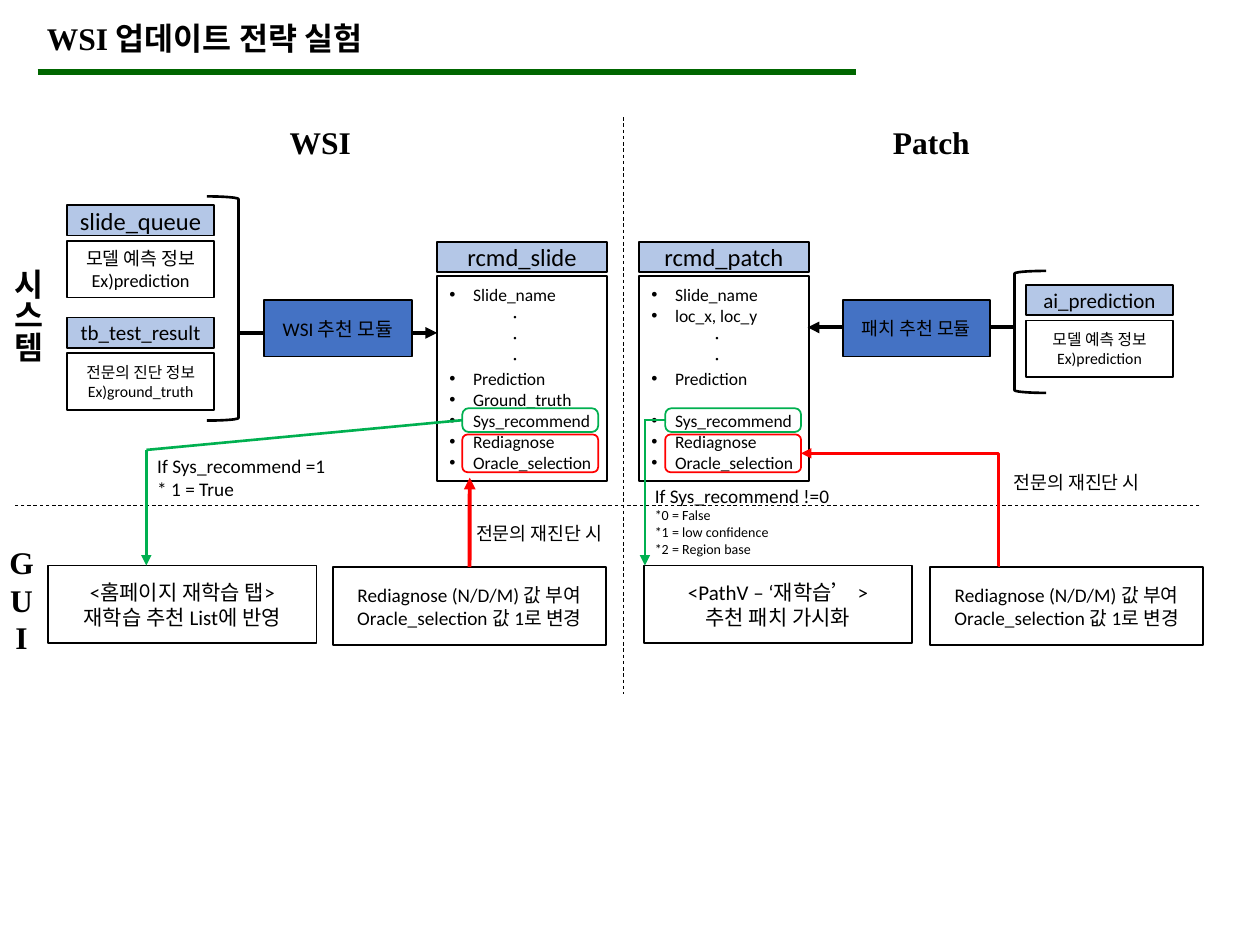
from lxml import etree
from pptx import Presentation
from pptx.dml.color import RGBColor
from pptx.enum.dml import MSO_LINE
from pptx.enum.shapes import MSO_CONNECTOR, MSO_SHAPE
from pptx.enum.text import MSO_ANCHOR, MSO_AUTO_SIZE, PP_ALIGN
from pptx.oxml.ns import qn
from pptx.util import Cm, Pt

RECT, ROUND, BRACKET = MSO_SHAPE.RECTANGLE, MSO_SHAPE.ROUNDED_RECTANGLE, MSO_SHAPE.RIGHT_BRACKET
STRAIGHT, ELBOW = MSO_CONNECTOR.STRAIGHT, MSO_CONNECTOR.ELBOW
LEFT, CENTER, JUSTIFY = PP_ALIGN.LEFT, PP_ALIGN.CENTER, PP_ALIGN.JUSTIFY
TOP, MIDDLE = MSO_ANCHOR.TOP, MSO_ANCHOR.MIDDLE
DASH = MSO_LINE.DASH
NO_FIT = MSO_AUTO_SIZE.NONE

BLACK, GREEN, RED = "000000", "00B050", "FF0000"
HEADER_BLUE, MODULE_BLUE, TITLE_GREEN = "B4C7E7", "4472C4", "006600"
SANS, SERIF = "Calibri", "Times New Roman"
DOT = "·"
TABLE_W, NODE_W, HEADER_H, NODE_H = 3.43, 2.97, 0.61, 1.14
TOP_SIDE, LEFT_SIDE, RIGHT_SIDE = 0, 1, 3


def rgb(color):
    return RGBColor.from_string(color)


def add_run(p, text, size, font=SANS, bold=False):
    r = p.add_run()
    r.text = text
    r.font.name, r.font.size, r.font.bold = font, Pt(size), bold
    r.font.color.rgb = rgb(BLACK)


def write(tf, lines, size, align=CENTER, anchor=MIDDLE, **style):
    """Fill a text frame; a line is a string or a (string, size) pair."""
    tf.vertical_anchor = anchor
    for i, line in enumerate(lines):
        text, line_size = (line, size) if isinstance(line, str) else line
        p = tf.paragraphs[0] if i == 0 else tf.add_paragraph()
        p.alignment = align
        add_run(p, text, line_size, **style)


def set_indent(p, margin, bullet=False):
    pPr = p._p.get_or_add_pPr()
    pPr.set("marL", str(Cm(margin)))
    pPr.set("indent", str(Cm(-margin if bullet else 0)))
    if bullet:
        etree.SubElement(pPr, qn("a:buFont")).set("typeface", "Arial")
        etree.SubElement(pPr, qn("a:buChar")).set("char", "•")


def add_shape(s, kind, x, y, w, h, fill=None, line=BLACK, width=1):
    sp = s.shapes.add_shape(kind, Cm(x), Cm(y), Cm(w), Cm(h))
    sp.shadow.inherit = False
    if fill:
        sp.fill.solid()
        sp.fill.fore_color.rgb = rgb(fill)
    else:
        sp.fill.background()
    sp.line.color.rgb = rgb(line)
    sp.line.width = Pt(width)
    return sp


def add_box(s, x, y, w, h, lines, size, fill=None):
    sp = add_shape(s, RECT, x, y, w, h, fill)
    write(sp.text_frame, lines, size)
    return sp


def add_node(s, x, y, name, name_size, lines, size):
    """Blue name bar with a description box below it."""
    add_box(s, x, y, NODE_W, HEADER_H, [name], name_size, HEADER_BLUE)
    add_box(s, x, y + 0.72, NODE_W, NODE_H, lines, size)


def add_field_table(s, x, name, fields, gap_before=None):
    add_box(s, x, 4.88, TABLE_W, HEADER_H, [name], 14, HEADER_BLUE)
    tf = add_shape(s, RECT, x, 5.56, TABLE_W, 4.14).text_frame
    write(tf, fields, 10, JUSTIFY)
    for p, field in zip(tf.paragraphs, fields):
        if field == DOT:
            set_indent(p, 1.28)
        else:
            set_indent(p, 0.48, bullet=True)
        if field == gap_before:
            p.space_before = Pt(12)


def add_frame(s, x, y, h, color, corner):
    """Rounded outline around some fields of a table."""
    sp = add_shape(s, ROUND, x, y, 2.74, h, line=color)
    sp.adjustments[0] = corner
    return sp


def add_text(s, x, y, w, h, lines, size, wrap=True, align=LEFT, **style):
    tf = s.shapes.add_textbox(Cm(x), Cm(y), Cm(w), Cm(h)).text_frame
    tf.word_wrap = wrap
    write(tf, lines, size, align, TOP, **style)
    return tf


def add_line(s, start, end, color=BLACK, width=1.5, arrow=False, dash=None, kind=STRAIGHT):
    c = s.shapes.add_connector(kind, *(Cm(v) for v in start + end))
    c.line.color.rgb = rgb(color)
    c.line.width = Pt(width)
    if dash:
        c.line.dash_style = dash
    if arrow:
        etree.SubElement(c.line._get_or_add_ln(), qn("a:tailEnd")).set("type", "triangle")
    etree.SubElement(c._element.spPr, qn("a:effectLst"))
    return c


def set_bend(connector, share):
    guides = connector._element.spPr.find(qn("a:prstGeom")).get_or_add_avLst()
    gd = etree.SubElement(guides, qn("a:gd"))
    gd.set("name", "adj1")
    gd.set("fmla", f"val {round(share * 100000)}")


def add_headings(s):
    add_line(s, (0.76, 1.45), (17.25, 1.45), TITLE_GREEN, 3)
    title = s.shapes.title
    title.left, title.top, title.width, title.height = Cm(0.69), Cm(0.25), Cm(13.16), Cm(1.02)
    title.text_frame.auto_size = NO_FIT
    heading = {"font": SERIF, "bold": True}
    write(title.text_frame, ["WSI 업데이트 전략 실험"], 18, LEFT, TOP, **heading)
    add_line(s, (12.57, 2.36), (12.57, 14), width=0.5, dash=DASH)
    add_line(s, (24.18, 10.19), (0.25, 10.19), width=0.5, dash=DASH)
    for x, name in ((5.59, "WSI"), (17.75, "Patch")):
        add_text(s, x, 2.36, 4.85, 1.02, [name], 18, **heading)
    tf = add_text(s, -0.2, 5.16, 1.27, 3.86, ["시스템"], 18, **heading)
    tf._txBody.bodyPr.set("vert", "eaVert")
    add_text(s, -0.2, 10.82, 1.27, 3.33, "GUI", 18, align=CENTER, **heading)


def add_system_row(s):
    marked = ["Sys_recommend", "Rediagnose", "Oracle_selection"]
    add_field_table(s, 8.81, "rcmd_slide",
                    ["Slide_name", DOT, DOT, DOT, "Prediction", "Ground_truth"] + marked)
    add_field_table(s, 12.88, "rcmd_patch",
                    ["Slide_name", "loc_x, loc_y", DOT, DOT, "Prediction"] + marked, marked[0])
    prediction = ["모델 예측 정보", "Ex)prediction"]
    add_node(s, 1.35, 4.14, "slide_queue", 14, prediction, 10.5)
    add_node(s, 1.35, 6.4, "tb_test_result", 12, ["전문의 진단 정보", "Ex)ground_truth"], 9)
    add_node(s, 20.68, 5.74, "ai_prediction", 12, prediction, 9)

    add_shape(s, BRACKET, 4.17, 3.96, 0.64, 4.52, width=1.5)
    add_shape(s, BRACKET, 20.45, 5.46, 0.64, 2.46, width=1.5).rotation = 180
    add_line(s, (4.8, 6.71), (8.81, 6.71), width=2.25, arrow=True)
    add_line(s, (20.45, 6.6), (16.28, 6.6), width=2.25, arrow=True)
    for x, name, size in ((5.33, "WSI 추천 모듈", 11), (16.99, "패치 추천 모듈", 10.5)):
        add_box(s, x, 6.05, NODE_W, NODE_H, [name], size, MODULE_BLUE)


def add_gui_row(s):
    rediagnose = ["Rediagnose (N/D/M) 값 부여", "Oracle_selection 값 1로 변경"]
    add_box(s, 0.97, 11.4, 5.41, 1.57, ["<홈페이지 재학습 탭>", "재학습 추천 List에 반영"], 12)
    add_box(s, 12.98, 11.4, 5.41, 1.57, ["<PathV – ‘재학습’ >", "추천 패치 가시화"], 12)
    slide_box, _ = [add_box(s, x, 11.43, 5.51, 1.57, rediagnose, 11) for x in (6.71, 18.75)]
    return slide_box


def add_flows(s, slide_box):
    slide_sys, patch_sys = [add_frame(s, x, 8.23, 0.48, GREEN, 0.27) for x in (9.32, 13.41)]
    _, patch_oracle = [add_frame(s, x, 8.76, 0.76, RED, 0.14) for x in (9.32, 13.41)]

    add_line(s, (9.32, 8.47), (2.95, 9.07), GREEN).begin_connect(slide_sys, LEFT_SIDE)
    add_line(s, (2.95, 9.07), (2.95, 11.4), GREEN, arrow=True)
    add_line(s, (12.98, 8.47), (13.41, 8.47), GREEN).end_connect(patch_sys, LEFT_SIDE)
    add_line(s, (13, 8.47), (13, 11.4), GREEN, arrow=True)
    up = add_line(s, (9.47, 11.43), (9.47, 9.63), RED, 2.25, arrow=True)
    up.begin_connect(slide_box, TOP_SIDE)
    bent = add_line(s, (20.17, 11.4), (16.15, 9.14), RED, arrow=True, kind=ELBOW)
    bent.end_connect(patch_oracle, RIGHT_SIDE)
    set_bend(bent, 0.01)

    add_text(s, 2.92, 9.04, 3.94, 1.19, ["If Sys_recommend =1", "* 1 = True"], 11, wrap=False)
    add_text(s, 12.95, 9.63, 4.06, 1.75,
             [("If Sys_recommend !=0", 11), "*0 = False", "*1 = low confidence",
              "*2 = Region base"], 8, wrap=False)
    for x, y in ((9.35, 10.41), (20.19, 9.37)):
        add_text(s, x, y, 3.3, 0.71, ["전문의 재진단 시"], 10.5, wrap=False)


def main():
    prs = Presentation()
    prs.slide_width, prs.slide_height = Cm(25.4), Cm(19.05)
    s = prs.slides.add_slide(prs.slide_layouts[5])
    add_headings(s)
    add_system_row(s)
    slide_box = add_gui_row(s)
    add_flows(s, slide_box)
    prs.save("out.pptx")


if __name__ == "__main__":
    main()
